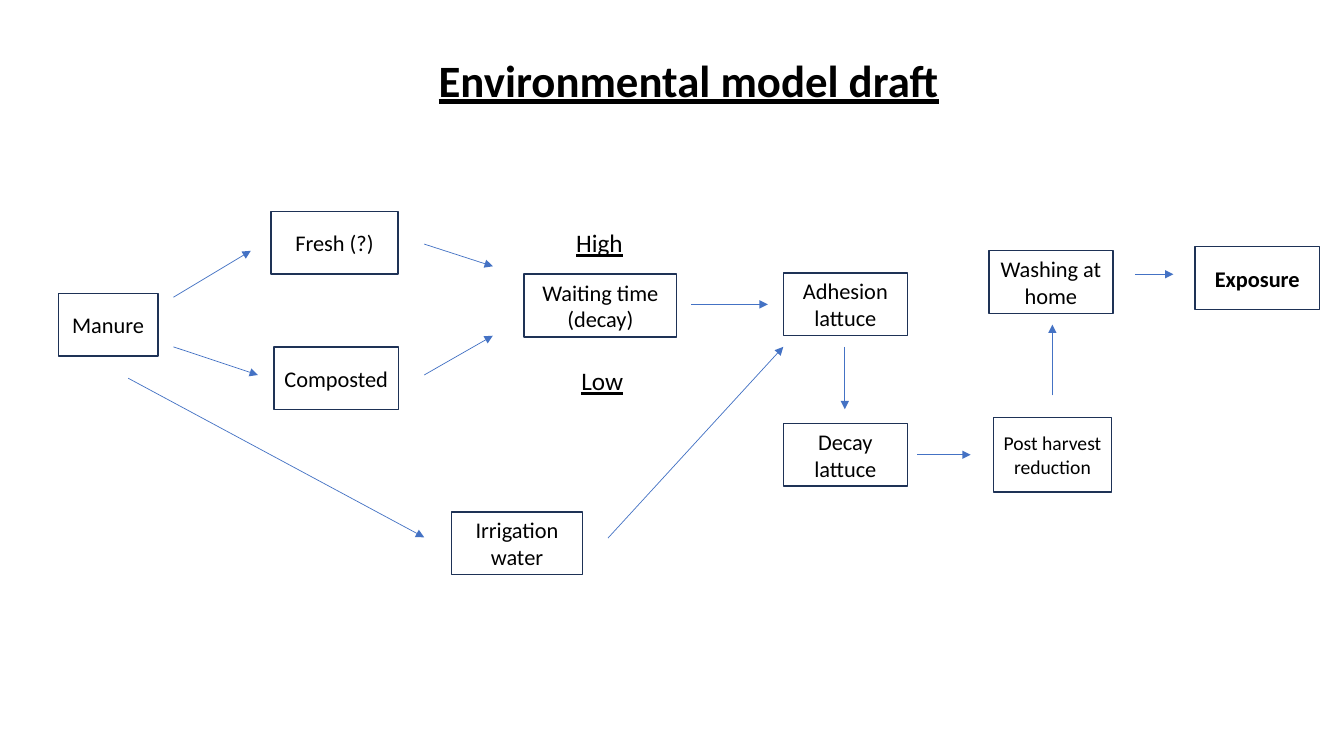
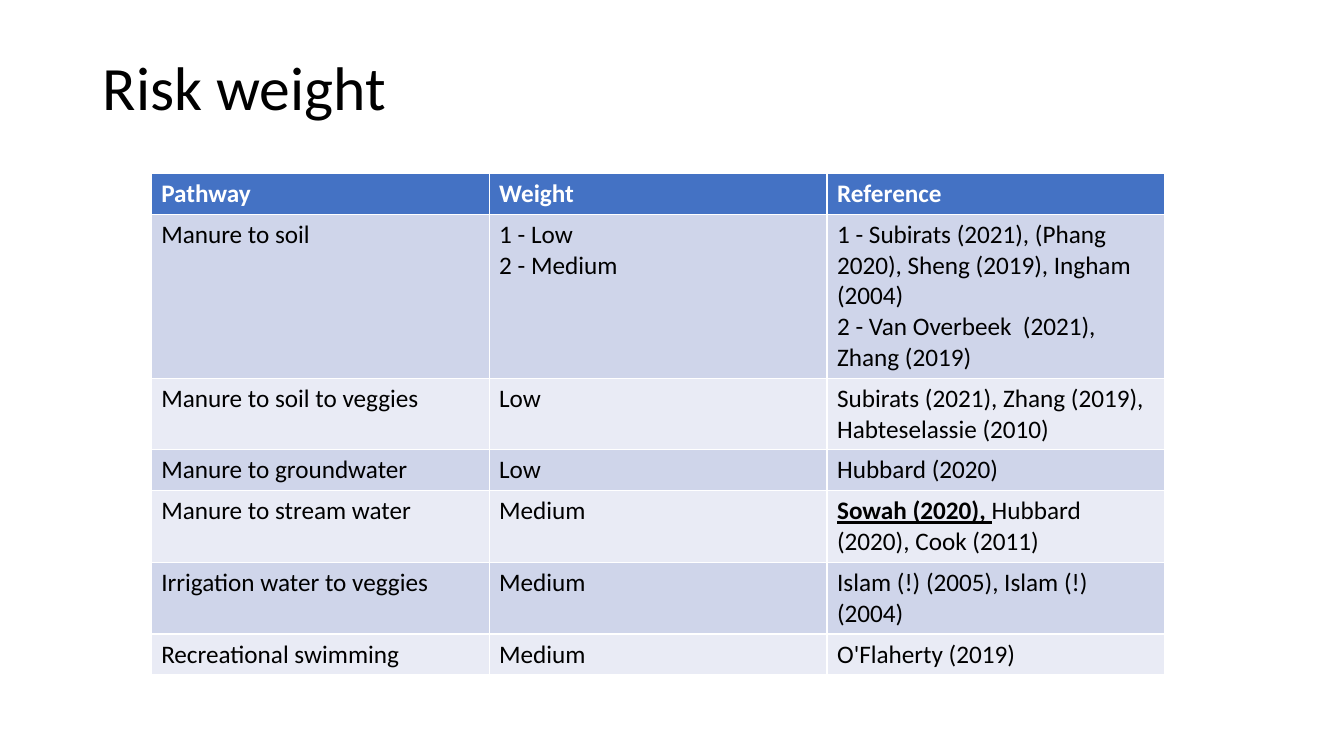
from lxml import etree
from pptx import Presentation
from pptx.dml.color import RGBColor
from pptx.enum.shapes import MSO_CONNECTOR, MSO_SHAPE
from pptx.enum.text import MSO_ANCHOR, MSO_AUTO_SIZE, PP_ALIGN
from pptx.oxml.ns import qn
from pptx.util import Cm, Pt

LEFT, CENTER = PP_ALIGN.LEFT, PP_ALIGN.CENTER
TOP, MIDDLE = MSO_ANCHOR.TOP, MSO_ANCHOR.MIDDLE
FIXED = MSO_AUTO_SIZE.NONE
RECT, LINE = MSO_SHAPE.RECTANGLE, MSO_CONNECTOR.STRAIGHT
TITLE_ONLY = 5
BOX_H = 1.58
BOX_W = 3.13

COLORS = {
    "text": "000000",
    "paper": "FFFFFF",
    "edge": "1E3256",
    "accent": "4472C4",
    "odd": "CFD5EA",
    "even": "E9EBF5",
}
BASE = {"name": "Calibri", "size": Pt(18), "bold": False, "underline": False}
STRONG = {"bold": True, "underline": True}

BOXES = [
    ("Manure", 1.47, 7.39, 2.51),
    ("Fresh (?)", 6.83, 5.33, 3.2),
    ("Composted", 6.91, 8.74, BOX_W),
    ("Waiting time (decay)", 13.21, 6.91, 3.84),
    ("Adhesion lattuce", 19.74, 6.88, BOX_W),
    ("Decay lattuce", 19.74, 10.67, BOX_W),
    ("Washing at home", 24.92, 6.32, BOX_W),
    ("Irrigation water", 11.38, 12.9, 3.3),
]
ARROWS = [
    (4.37, 7.49, 6.32, 6.32),
    (4.37, 8.74, 6.5, 9.45),
    (10.69, 6.15, 12.42, 6.71),
    (10.69, 9.45, 12.42, 8.46),
    (17.42, 7.67, 19.35, 7.67),
    (21.29, 8.74, 21.29, 10.31),
    (23.11, 11.46, 24.46, 11.46),
    (26.52, 9.96, 26.52, 8.18),
    (28.6, 6.91, 29.57, 6.91),
    (3.23, 9.53, 10.69, 13.54),
    (15.32, 13.56, 19.74, 8.74),
]
RISKS = [
    ("Pathway", "Weight", "Reference"),
    ("Manure to soil", "1 - Low\n2 - Medium",
     "1 - Subirats (2021), (Phang 2020), Sheng (2019), Ingham (2004)\n"
     "2 - Van Overbeek  (2021), Zhang (2019)"),
    ("Manure to soil to veggies", "Low",
     "Subirats (2021), Zhang (2019), Habteselassie (2010)"),
    ("Manure to groundwater", "Low", "Hubbard (2020)"),
    ("Manure to stream water", "Medium",
     [("Sowah (2020), ", STRONG), ("Hubbard (2020), Cook (2011)", {})]),
    ("Irrigation water to veggies", "Medium", "Islam (!) (2005), Islam (!) (2004)"),
    ("Recreational swimming", "Medium", "O'Flaherty (2019)"),
]


def assign(target, values):
    for key, value in values.items():
        setattr(target, key, value)


def color(name):
    return RGBColor.from_string(COLORS[name])


def paint(fill, name):
    fill.solid()
    fill.fore_color.rgb = color(name)


class Deck:
    def __init__(self):
        self.show = Presentation()
        assign(self.show, {"slide_width": Cm(33.87), "slide_height": Cm(19.05)})
        self.slide = None

    def put(self, frame, text, align=LEFT, ink="text", **style):
        parts = [(text, {})] if isinstance(text, str) else text
        para = frame.paragraphs[0]
        para.alignment = align
        for words, extra in parts:
            for index, line in enumerate(words.split("\n")):
                if index:
                    para.add_line_break()
                run = para.add_run()
                run.text = line
                assign(run.font, {**BASE, **style, **extra})
                run.font.color.rgb = color(ink)

    def page(self, title, left, top, width, height, anchor=MIDDLE, **style):
        self.slide = self.show.slides.add_slide(self.show.slide_layouts[TITLE_ONLY])
        head = self.slide.shapes.title
        assign(head, {"left": Cm(left), "top": Cm(top),
                      "width": Cm(width), "height": Cm(height)})
        frame = head.text_frame
        assign(frame, {"vertical_anchor": anchor, "word_wrap": True, "auto_size": FIXED})
        self.put(frame, title, **style)
        return frame.paragraphs[0]

    def box(self, text, left, top, width, height=BOX_H, **style):
        shape = self.slide.shapes.add_shape(RECT, Cm(left), Cm(top), Cm(width), Cm(height))
        shape.shadow.inherit = False
        paint(shape.fill, "paper")
        paint(shape.line.fill, "edge")
        shape.line.width = Pt(1)
        assign(shape.text_frame, {"vertical_anchor": MIDDLE, "word_wrap": True})
        self.put(shape.text_frame, text, CENTER, **{"size": Pt(16), **style})

    def label(self, text, left, top, width, height, **style):
        shape = self.slide.shapes.add_textbox(Cm(left), Cm(top), Cm(width), Cm(height))
        shape.text_frame.word_wrap = True
        self.put(shape.text_frame, text, **style)

    def arrow(self, *ends):
        link = self.slide.shapes.add_connector(LINE, *map(Cm, ends))
        paint(link.line.fill, "accent")
        link.line.width = Pt(0.5)
        props = link._element.spPr
        etree.SubElement(props.find(qn("a:ln")), qn("a:tailEnd"), type="triangle")
        etree.SubElement(props, qn("a:effectLst"))

    def table(self, rows, left, top, width, step):
        count = len(rows[0])
        grid = self.slide.shapes.add_table(
            len(rows), count, Cm(left), Cm(top), Cm(width), Cm(step * len(rows))).table
        for r, row in enumerate(rows):
            fill = ("odd" if r % 2 else "even") if r else "accent"
            ink = "text" if r else "paper"
            for c, text in enumerate(row):
                cell = grid.cell(r, c)
                paint(cell.fill, fill)
                self.put(cell.text_frame, text, ink=ink, bold=not r)

    def save(self):
        self.show.save("out.pptx")


def main():
    deck = Deck()
    deck.page("Environmental model draft", 10.8, 1.19, 13.26, 1.63, TOP,
              size=Pt(32), **STRONG)
    for box in BOXES:
        deck.box(*box)
    deck.box("Post harvest reduction", 25.04, 10.52, 2.97, 1.88, size=Pt(14))
    deck.box("Exposure", 30.12, 6.22, BOX_W, bold=True)
    deck.label("High", 14.27, 5.61, 1.7, 1.02, underline=True)
    deck.label("Low", 14.4, 9.09, 1.57, 1.02, underline=True)
    for ends in ARROWS:
        deck.arrow(*ends)

    head = deck.page("Risk weight", 2.34, 1.02, 29.21, 2.54, size=Pt(44))
    head.line_spacing = 0.9
    deck.table(RISKS, 3.81, 4.37, 25.55, 1.03)
    deck.save()


if __name__ == "__main__":
    main()
